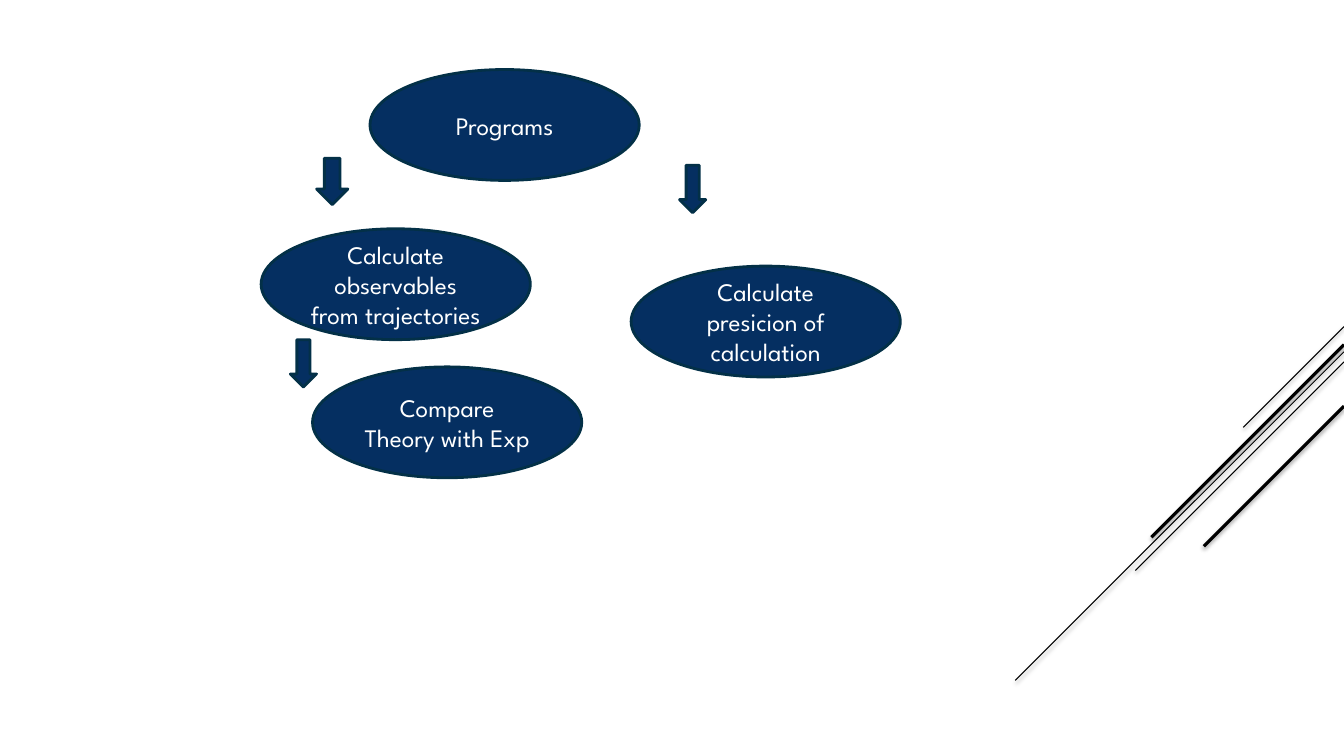
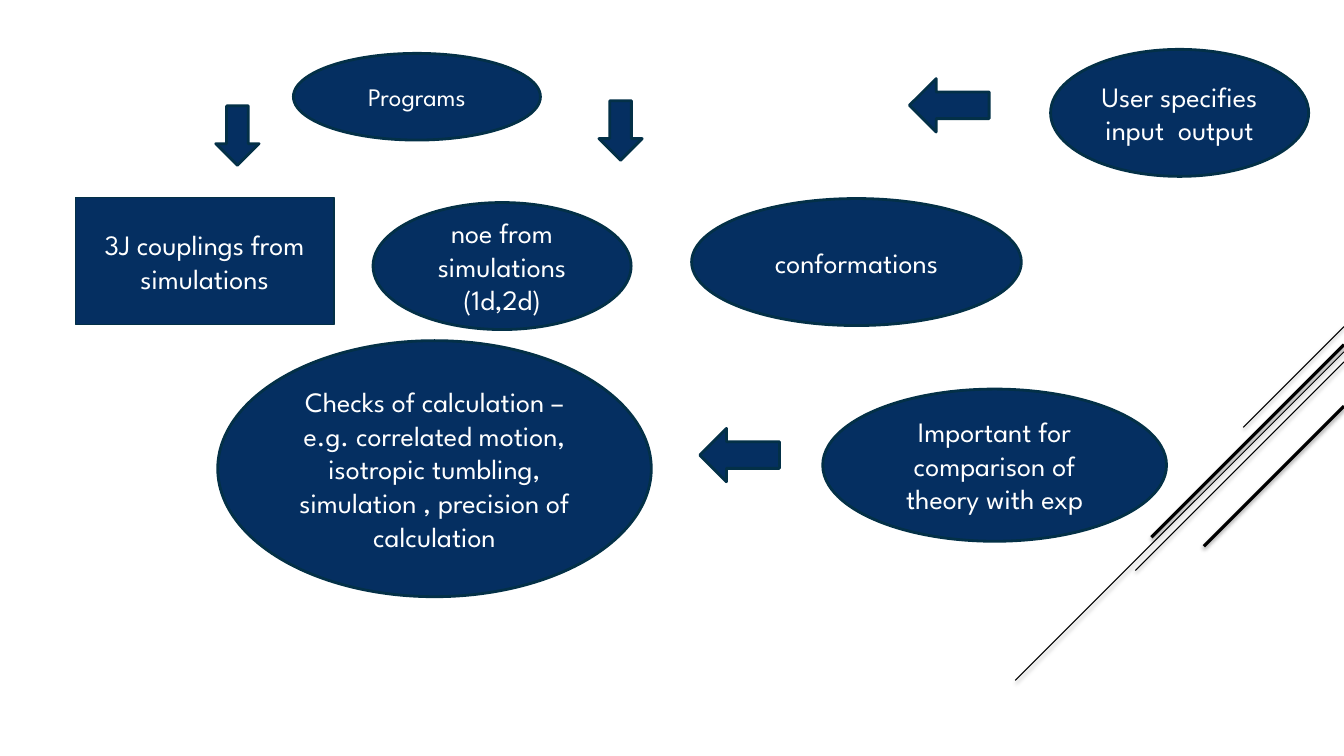
from lxml import etree
from pptx import Presentation
from pptx.dml.color import RGBColor
from pptx.enum.shapes import MSO_CONNECTOR, MSO_SHAPE
from pptx.enum.text import MSO_ANCHOR, PP_ALIGN
from pptx.oxml.ns import qn
from pptx.util import Inches, Pt

OVAL = MSO_SHAPE.OVAL
RECT = MSO_SHAPE.RECTANGLE
DOWN = MSO_SHAPE.DOWN_ARROW
LEFT = MSO_SHAPE.LEFT_ARROW
LINE = MSO_CONNECTOR.STRAIGHT
MID = MSO_ANCHOR.MIDDLE
MIDDLE = PP_ALIGN.CENTER

WIDE, HIGH = 13.33, 7.5
COLORS = {"fill": "052F61", "edge": "033047", "text": "FFFFFF", "streak": "000000"}
FONT = "League Spartan"
SMALL = {"size": Pt(18)}
LARGE = {"size": Pt(20)}
TIGHT = {"alignment": MIDDLE}
LOOSE = {"alignment": MIDDLE, "space_before": Pt(4), "space_after": Pt(6)}
SHADOW = {"blurRad": Pt(3.1), "dist": Pt(1.6), "dir": 90 * 60000,
          "algn": "ctr", "rotWithShape": 0}
STREAKS = [(0, 1, 0.75), (0.25, 3.26, 0.75), (0.35, 2.07, 0.75),
           (0.18, 1.91, 2.25), (0.79, 1.39, 2.25)]


def color(name):
    """Return the named colour."""
    return RGBColor.from_string(COLORS[name])


def assign(target, values):
    """Set each attribute of the target from a dict."""
    for key, value in values.items():
        setattr(target, key, value)


def shade(line):
    """Give a connector its soft shadow."""
    props = line._element.find(qn("p:spPr"))
    effects = etree.SubElement(props, qn("a:effectLst"))
    outer = etree.SubElement(effects, qn("a:outerShdw"))
    for key, value in SHADOW.items():
        outer.set(key, str(value))
    tint = etree.SubElement(outer, qn("a:srgbClr"), val=COLORS["streak"])
    etree.SubElement(tint, qn("a:alpha"), val="38000")


def streaks(slide, box):
    """Draw the diagonal streaks from the right side of the box."""
    left, top, width, _ = box
    right = left + width
    for drop, run, weight in STREAKS:
        start = top + drop
        line = slide.shapes.add_connector(
            LINE, Inches(right), Inches(start),
            Inches(right - run), Inches(start + run))
        line.line.width = Pt(weight)
        line.line.color.rgb = color("streak")
        shade(line)


def block(slide, kind, box, weight=2):
    """Add a filled and outlined shape in the box."""
    shape = slide.shapes.add_shape(kind, *map(Inches, box))
    shape.shadow.inherit = False
    shape.fill.solid()
    shape.fill.fore_color.rgb = color("fill")
    shape.line.width = Pt(weight)
    shape.line.color.rgb = color("edge")
    return shape


def label(shape, text, font, para):
    """Write centred text in a shape."""
    frame = shape.text_frame
    assign(frame, {"word_wrap": True, "vertical_anchor": MID, "text": text})
    first = frame.paragraphs[0]
    assign(first, para)
    run = first.runs[0]
    assign(run.font, {"name": FONT, **font})
    run.font.color.rgb = color("text")


def within(box, part):
    """Shift a part by the corner of the box that holds it."""
    return (box[0] + part[0], box[1] + part[1], *part[2:])


def programs(slide, box):
    """Lay out the main branches of the programs."""
    nodes = [("Programs", 1.08, 0),
             ("Calculate observables from trajectories", 0, 1.58),
             ("Calculate presicion of calculation", 3.67, 1.95),
             ("Compare Theory with Exp", 0.51, 2.95)]
    for text, left, top in nodes:
        oval = block(slide, OVAL, within(box, (left, top, 2.67, 1.1)))
        label(oval, text, SMALL, TIGHT)
    for part in [(0.55, 0.88, 0.31, 0.46), (4.15, 0.95, 0.26, 0.47),
                 (0.29, 2.68, 0.26, 0.47)]:
        block(slide, DOWN, within(box, part))


def checks(slide, box):
    """Lay out the kinds of calculation and their checks."""
    title = block(slide, OVAL, within(box, (2.16, 0.04, 2.45, 0.86)))
    label(title, "Programs", SMALL, TIGHT)
    nodes = [
        ("3J couplings from simulations", RECT, (0, 1.47, 2.56, 1.26), 1.25),
        ("noe from simulations (1d,2d)", OVAL, (2.95, 1.52, 2.56, 1.26), 2),
        ("User specifies input  output", OVAL, (9.67, 0, 2.56, 1.26), 2),
        ("Checks of calculation – e.g. correlated motion, isotropic tumbling, "
         "simulation , precision of calculation", OVAL, (1.41, 2.89, 4.3, 2.54), 2),
        ("Important for comparison of theory with exp", OVAL,
         (7.41, 3.37, 3.41, 1.51), 2),
        ("conformations", OVAL, (6.11, 1.48, 3.27, 1.26), 2)]
    for text, kind, part, weight in nodes:
        shape = block(slide, kind, within(box, part), weight)
        label(shape, text, LARGE, LOOSE)
    arrows = [(DOWN, (1.39, 0.56, 0.43, 0.59)), (DOWN, (5.19, 0.51, 0.43, 0.59)),
              (LEFT, (8.27, 0.29, 0.79, 0.53)), (LEFT, (6.19, 3.76, 0.79, 0.53))]
    for kind, part in arrows:
        block(slide, kind, within(box, part))


def main():
    """Build and save both slides."""
    deck = Presentation()
    assign(deck, {"slide_width": Inches(WIDE), "slide_height": Inches(HIGH)})
    pages = [(programs, (2.59, 0.69, 6.34, 4.05)),
             (checks, (0.75, 0.49, 12.23, 5.43))]
    for draw, box in pages:
        slide = deck.slides.add_slide(deck.slide_layouts[6])
        streaks(slide, (10.07, 3.24, 3.26, 3.51))
        draw(slide, box)
    deck.save("out.pptx")


if __name__ == "__main__":
    main()
